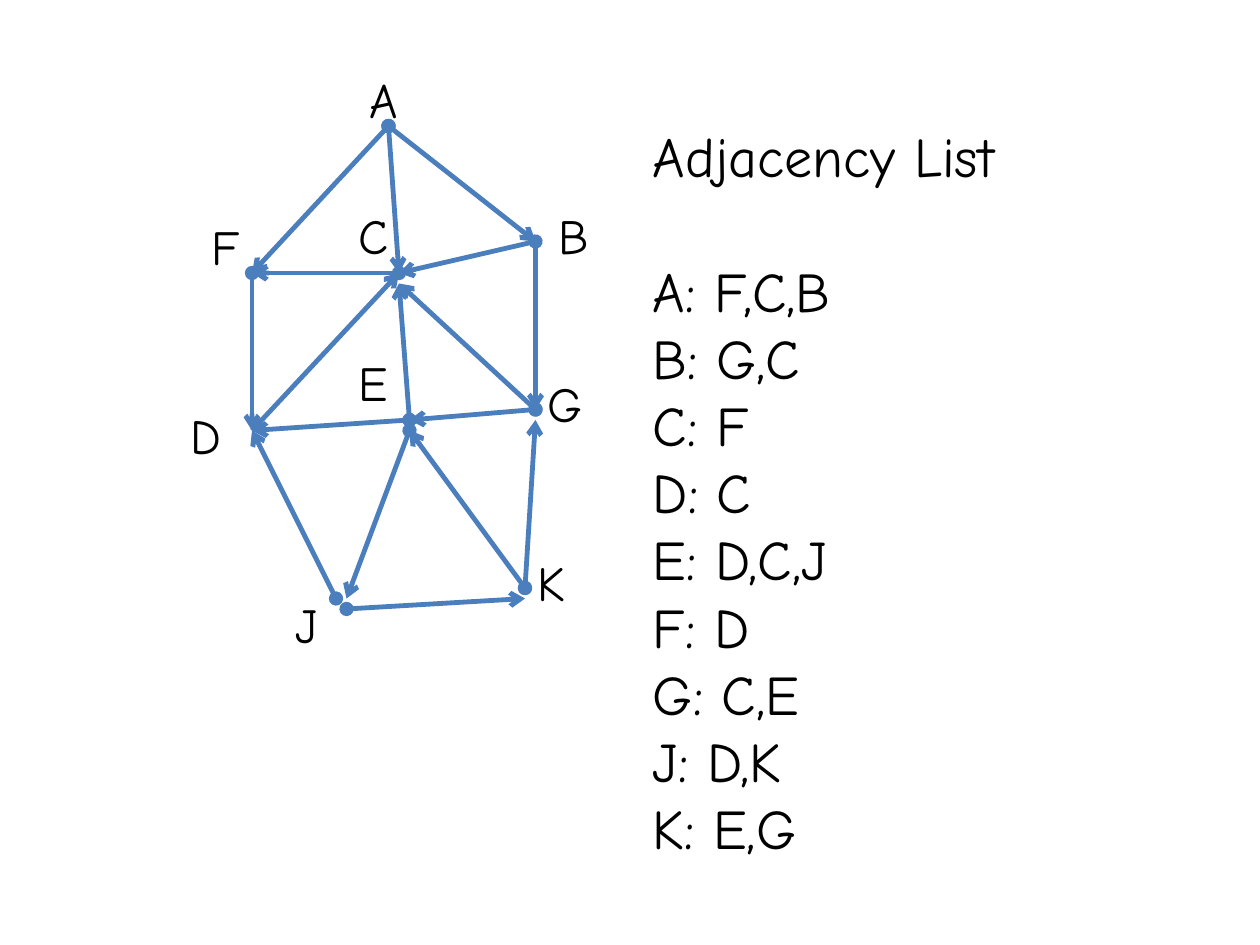
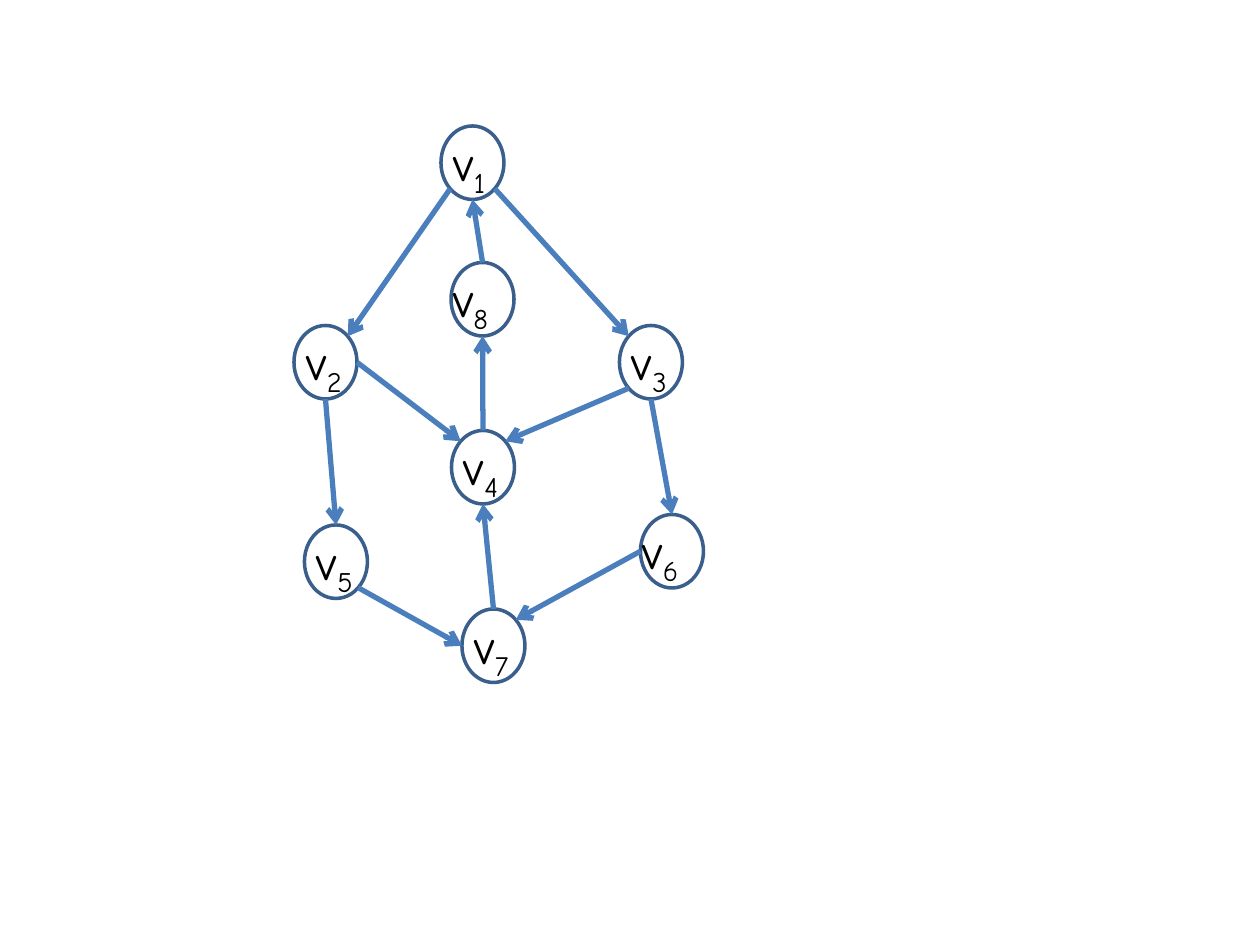
from math import cos, pi, sin

from lxml.etree import SubElement as Sub
from pptx import Presentation
from pptx.dml.color import RGBColor
from pptx.enum.shapes import MSO_CONNECTOR as Link, MSO_SHAPE as Shape
from pptx.enum.text import MSO_AUTO_SIZE as Fit
from pptx.oxml.ns import qn
from pptx.util import Cm, Pt

rgb = RGBColor.from_string
BLUE, NAVY, BLACK = "4B7EBC", "3A5F8C", "000000"
FACE = "Comic Neue"
UNIT = Cm(2.54) / 12  # both graphs sit on a grid of twelve steps to the inch
FRAME = {"word_wrap": True, "auto_size": Fit.SHAPE_TO_FIT_TEXT}


def write(slide, box, lines, size, low=""):
    """Add a text box at a grid box, with an optional subscript at its end."""
    area = slide.shapes.add_textbox(*(int(n * UNIT) for n in box))
    frame = area.text_frame
    for key, val in FRAME.items():
        setattr(frame, key, val)
    frame.text = "\n".join(lines)
    if low:
        run = frame.paragraphs[0].add_run()
        run.text = low
        run._r.get_or_add_rPr().set("baseline", "-25000")
    style = {"name": FACE, "size": Pt(size)}
    for par in frame.paragraphs:
        for run in par.runs:
            for key, val in style.items():
                setattr(run.font, key, val)
            run.font.color.rgb = rgb(BLACK)
    return frame


def point(slide, start, end, width, dot=False):
    """Draw an arrow between two grid points, with a dot at its start if asked."""
    spots = [int(n * UNIT) for n in (*start, *end)]
    arrow = slide.shapes.add_connector(Link.STRAIGHT, *spots)
    arrow.line.color.rgb = rgb(BLUE)
    arrow.line.width = Pt(width)
    props = arrow._element.spPr
    edge = props.find(qn("a:ln"))
    if dot:
        Sub(edge, qn("a:headEnd"), type="oval")
    Sub(edge, qn("a:tailEnd"), type="arrow")
    Sub(props, qn("a:effectLst"))


deck = Presentation()
deck.slide_width, deck.slide_height = Cm(25.4), Cm(19.05)
blank = deck.slide_layouts[6]

# Slide 1: directed graph and its adjacency list
slide = deck.slides.add_slide(blank)
A, B, C, D, E = (37, 12), (51, 23), (38, 26), (24, 41), (39, 40)
F, G, J, K = (24, 26), (51, 39), (32, 57), (50, 56)
# Some arrows meet a node one step away from its main point
C_low, E_low, G_low = (38, 27), (39, 41), (51, 40)
J_in, J_out, K_in = (33, 57), (33, 58), (50, 57)
edges = [
    (A, F), (A, B), (A, C), (C, F), (B, C), (F, D),
    (E, D), (D, C), (E, C_low), (B, G), (G, E), (G, C_low),
    (J, D), (E_low, J_in), (K, E_low), (K, G_low), (J_out, K_in),
]
bare = [(D, C), (B, G)]
for start, end in edges:
    point(slide, start, end, 2.75, dot=(start, end) not in bare)

names = {
    "A": (34, 6), "B": (52, 19), "C": (33, 19), "D": (17, 38), "E": (33, 33),
    "F": (19, 20), "G": (51, 35), "J": (27, 56), "K": (50, 52),
}
for name, spot in names.items():
    write(slide, (*spot, 9, 6.84), [name], 28)

rows = [
    "Adjacency List", "A: F,C,B", "B: G,C", "C: F", "D: C", "E: D,C,J",
    "F: D", "G: C,E", "J: D,K", "K: E,G",
]
frame = write(slide, (61, 11, 40, 72.25), rows, 32)
frame.paragraphs[0].space_after = Pt(38.4)

# Slide 2: graph with ringed nodes
slide = deck.slides.add_slide(blank)
WIDE, TALL = 6, 7
rings = {
    1: (42, 12), 2: (28, 31), 3: (59, 31), 4: (43, 41),
    5: (29, 50), 6: (61, 49), 7: (44, 58), 8: (42.96, 25),
}
shift = {6: -1, 8: -1}  # labels set one step to the left
sites = {}
for node, (left, top) in rings.items():
    box = [int(n * UNIT) for n in (left, top, WIDE, TALL)]
    ring = slide.shapes.add_shape(Shape.OVAL, *box)
    ring.shadow.inherit = False
    ring.fill.background()
    ring.line.color.rgb = rgb(NAVY)
    ring.line.width = Pt(2)
    # Eight sites per ring, counted anticlockwise from the top
    for site in range(8):
        turn = site * pi / 4
        sites[node, site] = (
            left + WIDE / 2 * (1 - sin(turn)),
            top + TALL / 2 * (1 - cos(turn)),
        )

TOP, NW, WEST, SW, FOOT, SE, EAST, NE = range(8)
edges = [
    (1, SW, 2, NE), (8, TOP, 1, FOOT), (1, SE, 3, NW), (2, FOOT, 5, TOP),
    (5, SE, 7, WEST), (2, EAST, 4, NW), (4, TOP, 8, FOOT), (3, SW, 4, NE),
    (7, TOP, 4, FOOT), (3, FOOT, 6, TOP), (6, WEST, 7, NE),
]
for node, out, goal, into in edges:
    point(slide, sites[node, out], sites[goal, into], 3)

for node, (left, top) in rings.items():
    box = (left + shift.get(node, 0), top, 8, 6.84)
    write(slide, box, ["v"], 28, low=str(node))

deck.save("out.pptx")
